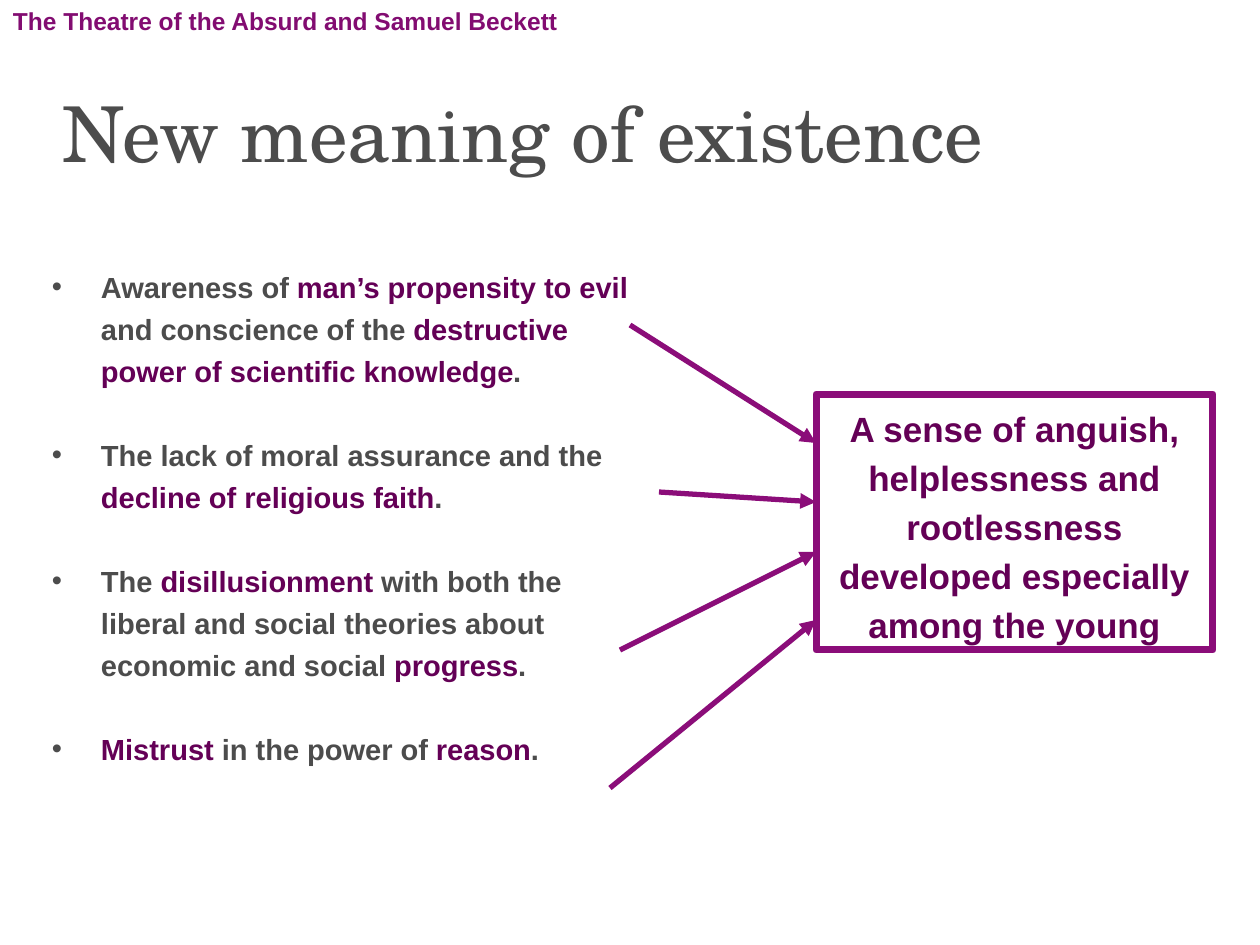
"""Build the slide on the new meaning of existence."""
from lxml.etree import SubElement
from pptx import Presentation
from pptx.dml.color import RGBColor as Color
from pptx.enum.shapes import MSO_CONNECTOR as Connector, MSO_SHAPE as Shape
from pptx.enum.text import MSO_ANCHOR as Anchor, MSO_AUTO_SIZE as AutoSize, PP_ALIGN as Align
from pptx.oxml.ns import qn
from pptx.util import Emu, Pt

HEADER = "The Theatre of the Absurd and Samuel Beckett"
TITLE = "New meaning of existence"
CAUSES = [
    "Awareness of *man’s propensity to evil* and conscience of the "
    "*destructive power of scientific knowledge*.",
    "The lack of moral assurance and the *decline of religious faith*.",
    "The *disillusionment* with both the liberal and social theories about "
    "economic and social *progress*.",
    "*Mistrust* in the power of *reason*.",
]
EFFECT = "A sense of anguish, helplessness and rootlessness developed especially among the young"

HEADER_AREA = (0, 0, 640, 43)
TITLE_AREA = (49, 79, 1142, 106)
CAUSES_AREA = (39, 256, 625, 495)
EFFECT_AREA = (816, 394, 397, 256)
ARROWS = [((630, 325), 443), ((659, 492), 502), ((620, 650), 552), ((610, 788), 620)]

THEME = {
    "grey": "4C4C4C", "plum": "640056", "line": "8B0D79", "border": 4, "arrow": 3,
    "header": {"name": "Arial", "size": Pt(14), "bold": True, "color": "820C71"},
    "title": {"name": "TeX Gyre Schola", "size": Pt(44), "bold": False, "color": "4C4C4C"},
    "cause": {"name": "Arial", "size": Pt(16.6), "bold": True},
    "effect": {"name": "Arial", "size": Pt(20), "bold": True, "color": "640056"},
}


def px(length):
    return Emu(round(length * 914400 / 126))


def assign(target, values):
    for name, value in values.items():
        setattr(target, name, value)


def place(box, area):
    assign(box, dict(zip(("left", "top", "width", "height"), map(px, area))))


def set_frame(box):
    assign(box.text_frame, {
        "word_wrap": True, "auto_size": AutoSize.NONE, "vertical_anchor": Anchor.TOP,
        "margin_left": px(13), "margin_right": px(13),
        "margin_top": px(6), "margin_bottom": px(6),
    })
    return box.text_frame


def add_span(para, text, style):
    span = para.add_run()
    span.text = text
    assign(span.font, {key: value for key, value in style.items() if key != "color"})
    span.font.color.rgb = Color.from_string(style["color"])


def write_line(box, text, style, **layout):
    para = set_frame(box).paragraphs[0]
    assign(para, layout)
    add_span(para, text, style)


def add_bullet(para):
    props = para._p.get_or_add_pPr()
    props.set("marL", str(px(49)))
    props.set("indent", str(-px(49)))
    SubElement(SubElement(props, qn("a:buClr")), qn("a:srgbClr"), val=THEME["grey"])
    SubElement(props, qn("a:buFont"), typeface="Arial")
    SubElement(props, qn("a:buChar"), char="•")


def write_causes(body):
    frame = set_frame(body)
    for index, cause in enumerate(CAUSES):
        para = frame.add_paragraph() if index else frame.paragraphs[0]
        add_bullet(para)
        assign(para, {"alignment": Align.LEFT, "line_spacing": Pt(24),
                      "space_before": Pt(24 if index else 0)})
        for part, text in enumerate(cause.split("*")):
            if text:
                color = THEME["plum" if part % 2 else "grey"]
                add_span(para, text, {**THEME["cause"], "color": color})


def set_line(line, width):
    line.color.rgb = Color.from_string(THEME["line"])
    line.width = Pt(width)


def add_arrow(shapes, start, end):
    arrow = shapes.add_connector(Connector.STRAIGHT, *map(px, start + end))
    set_line(arrow.line, THEME["arrow"])
    SubElement(arrow.line._get_or_add_ln(), qn("a:tailEnd"), type="triangle")
    SubElement(arrow._element.spPr, qn("a:effectLst"))


def main():
    deck = Presentation()
    deck.slide_width, deck.slide_height = px(1260), px(945)
    page = deck.slides.add_slide(deck.slide_layouts[1])
    shapes = page.shapes

    title, body = shapes.title, page.placeholders[1]
    place(title, TITLE_AREA)
    write_line(title, TITLE, THEME["title"], alignment=Align.LEFT)
    place(body, CAUSES_AREA)
    write_causes(body)

    effect = shapes.add_shape(Shape.RECTANGLE, *map(px, EFFECT_AREA))
    effect.shadow.inherit = False
    effect.fill.background()
    set_line(effect.line, THEME["border"])
    write_line(effect, EFFECT, THEME["effect"], alignment=Align.CENTER, line_spacing=Pt(28))

    for start, end_y in ARROWS:
        add_arrow(shapes, start, (EFFECT_AREA[0], end_y))

    header = shapes.add_textbox(*map(px, HEADER_AREA))
    write_line(header, HEADER, THEME["header"])
    deck.save("out.pptx")


if __name__ == "__main__":
    main()
